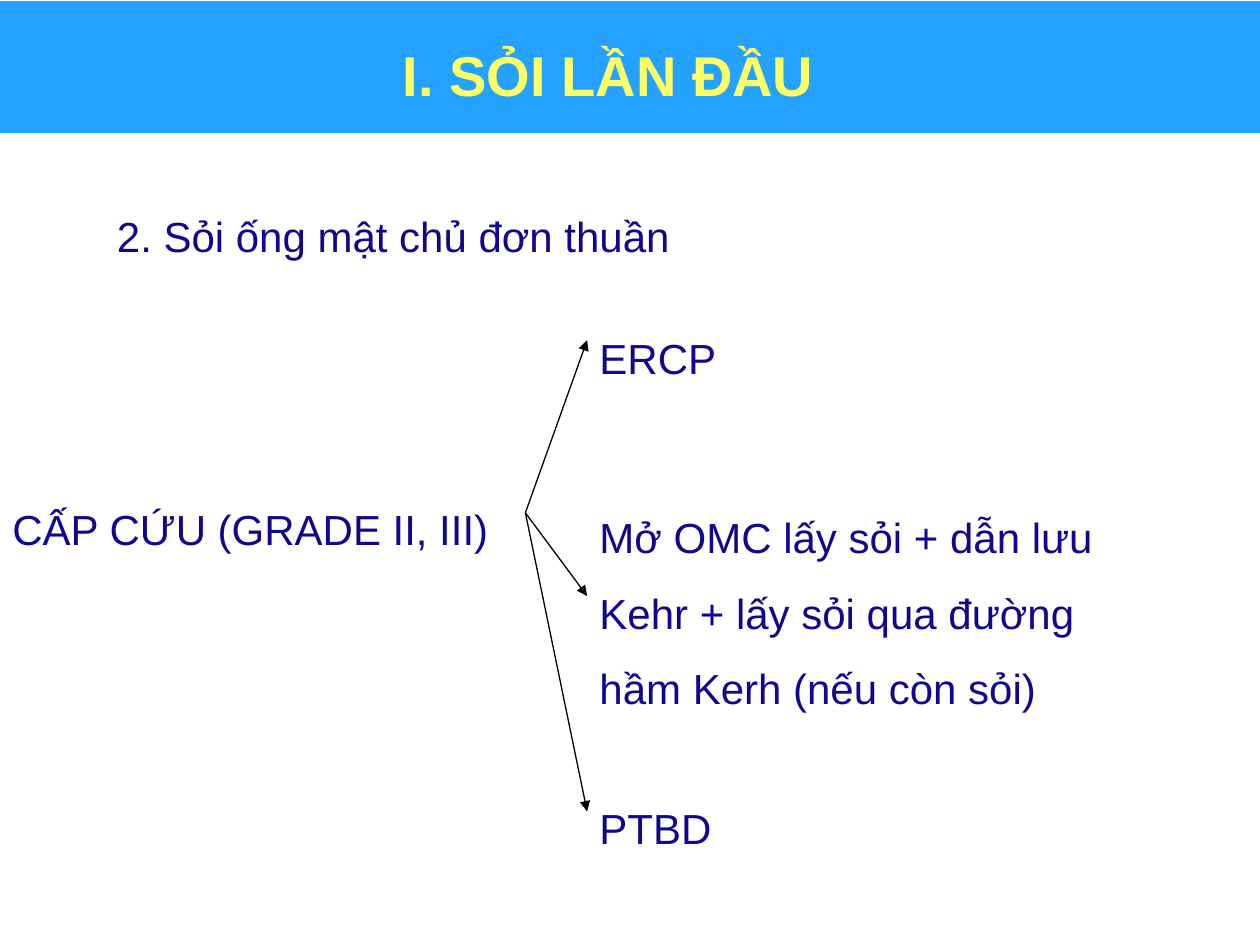
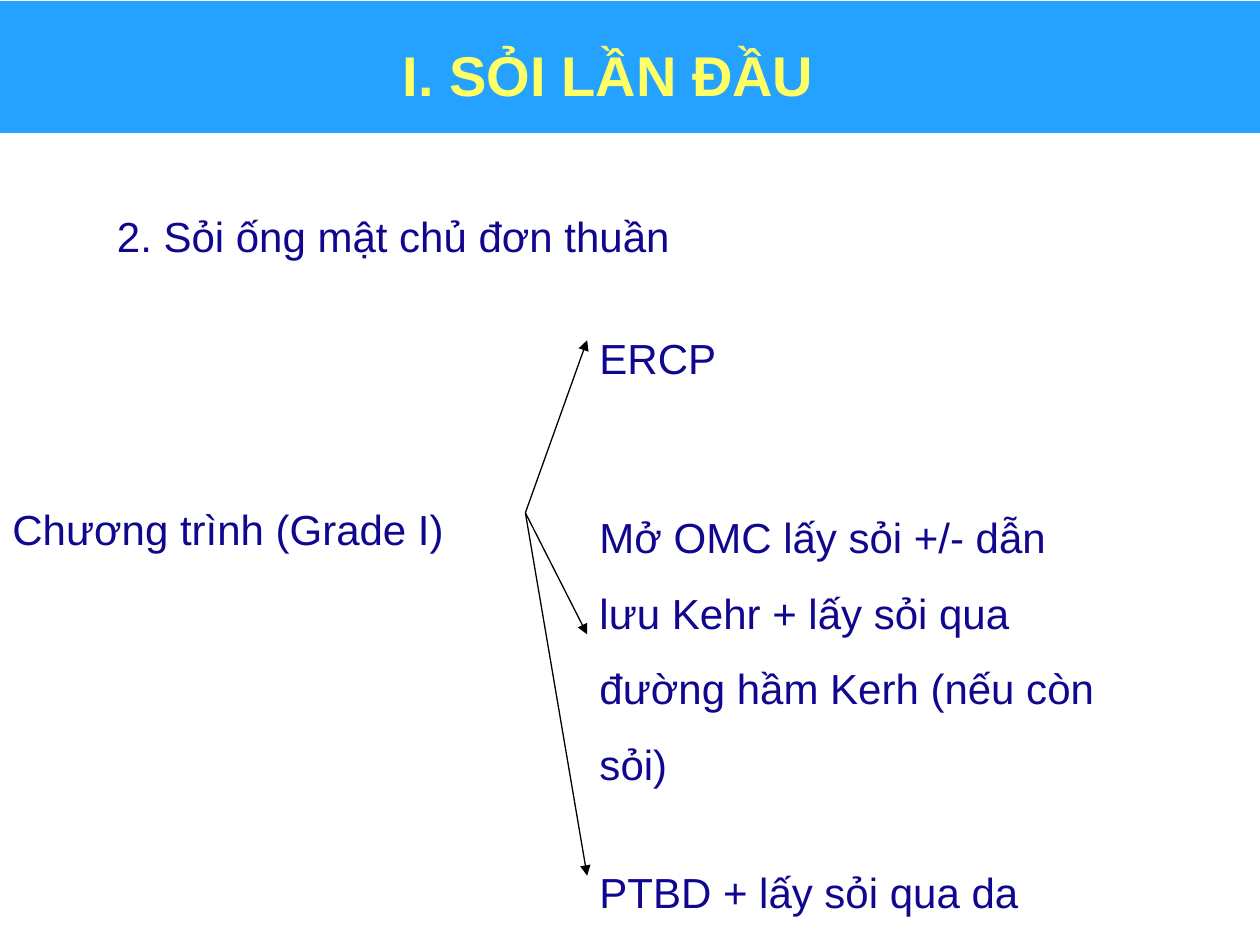
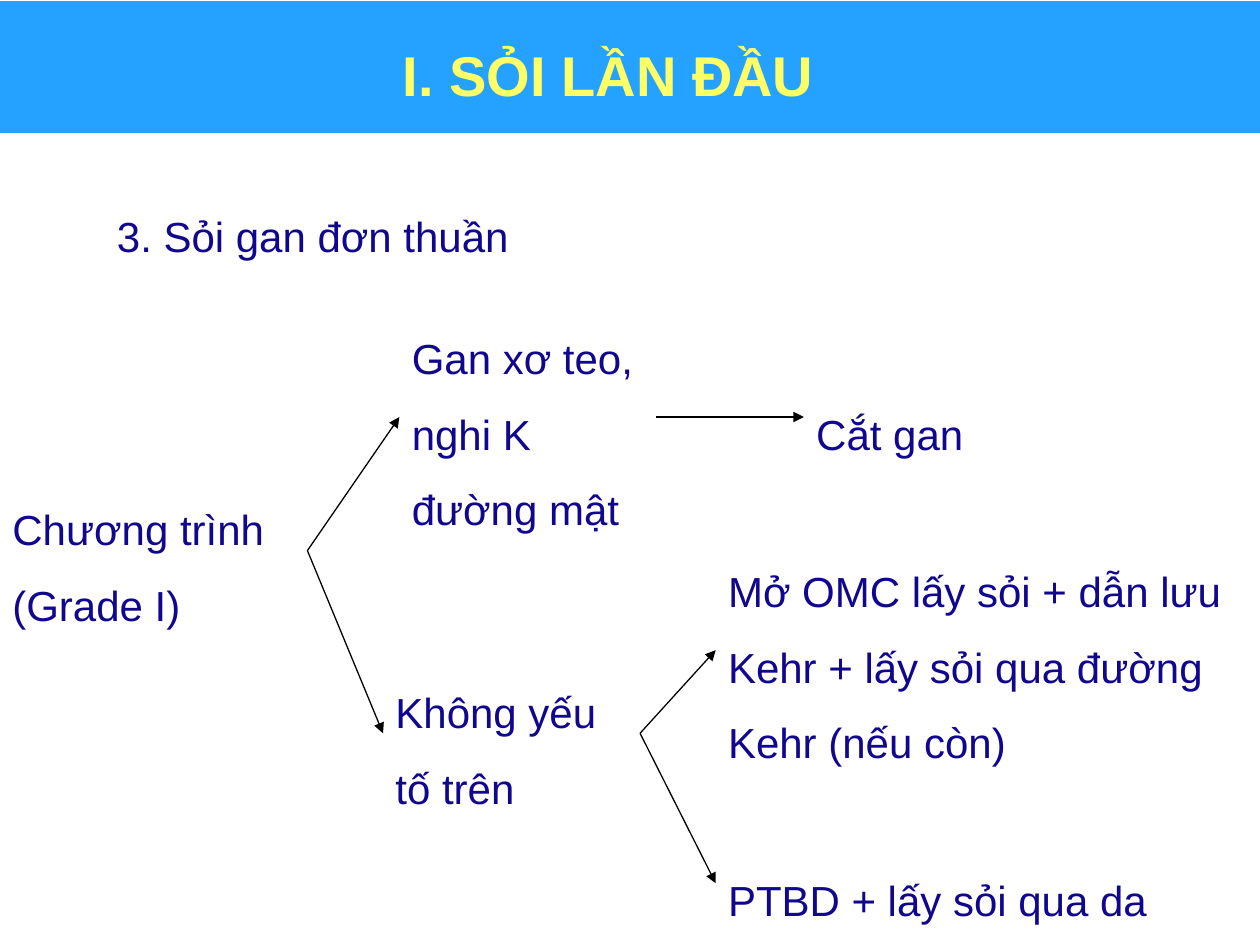
from lxml import etree
from pptx import Presentation
from pptx.dml.color import RGBColor
from pptx.enum import shapes, text
from pptx.oxml import ns
from pptx.util import Inches, Pt


def color(value):
    return RGBColor.from_string(value)


class Deck:
    FONT = "Arial"
    BAND, BAND_EDGE = "25A2FF", "FFFFFF"
    TITLE, BODY, ARROW = "FFFF66", "11078F", "000000"
    LINE_WIDTH = Pt(0.75)

    def __init__(self):
        self.presentation = Presentation()
        self.presentation.slide_width = Inches(10)
        self.presentation.slide_height = Inches(7.5)
        self.slide = None

    def start(self, title, heading):
        blank = self.presentation.slide_layouts[6]
        self.slide = self.presentation.slides.add_slide(blank)
        self.band()
        self.title(title)
        self.label(heading, 0.83, 1.42, 8.75, 1.24)

    def band(self):
        band = self.slide.shapes.add_shape(
            shapes.MSO_SHAPE.RECTANGLE,
            Inches(-0.07), Inches(0), Inches(10.09), Inches(1.06))
        band.shadow.inherit = False
        band.fill.solid()
        band.fill.fore_color.rgb = color(self.BAND)
        band.line.color.rgb = color(self.BAND_EDGE)
        band.line.width = self.LINE_WIDTH

    def place_words(self, words, left, top, width, height, size, ink, bold=False):
        box = self.slide.shapes.add_textbox(
            Inches(left), Inches(top), Inches(width), Inches(height))
        frame = box.text_frame
        frame.word_wrap = True
        frame.text = words
        paragraph = frame.paragraphs[0]
        for run in paragraph.runs:
            run.font.name = self.FONT
            run.font.size = Pt(size)
            run.font.bold = bold
            run.font.color.rgb = color(ink)
        return frame, paragraph

    def title(self, words):
        frame, paragraph = self.place_words(
            words, 0.58, 0.17, 8.5, 0.83, 32, self.TITLE, bold=True)
        frame.vertical_anchor = text.MSO_ANCHOR.MIDDLE
        paragraph.alignment = text.PP_ALIGN.CENTER

    def label(self, words, left, top, width, height=0.63):
        frame, paragraph = self.place_words(
            words, left, top, width, height, 24, self.BODY)
        frame.auto_size = text.MSO_AUTO_SIZE.SHAPE_TO_FIT_TEXT
        paragraph.line_spacing = 1.5

    def arrows(self, start, *ends):
        for end in ends:
            arrow = self.slide.shapes.add_connector(
                shapes.MSO_CONNECTOR.STRAIGHT,
                *(Inches(value) for value in start + end))
            arrow.line.color.rgb = color(self.ARROW)
            arrow.line.width = self.LINE_WIDTH
            properties = arrow._element.spPr
            etree.SubElement(properties.get_or_add_ln(),
                             ns.qn("a:tailEnd"), type="triangle")
            etree.SubElement(properties, ns.qn("a:effectLst"))

    def save(self):
        self.presentation.save("out.pptx")


TITLE = "I. SỎI LẦN ĐẦU"
DUCT_STONES = "2. Sỏi ống mật chủ đơn thuần"
LIVER_STONES = "3. Sỏi gan đơn thuần"
ELECTIVE = "Chương trình (Grade I)"
DRAIN_THROUGH_SKIN = "PTBD + lấy sỏi qua da"


def duct_stones(deck, urgency, surgery, surgery_height, drainage, drainage_top):
    fork, options = 4.17, 4.66
    surgery_top = 3.81
    deck.start(TITLE, DUCT_STONES)
    deck.label(urgency, 0, 3.75, fork)
    deck.label("ERCP", options, 2.39, 4.17)
    deck.label(surgery, options, surgery_top, 4.17, surgery_height)
    deck.label(drainage, options, drainage_top, 4.56)
    deck.arrows((fork, 4.07),
                (options, 2.7),
                (options, surgery_top + surgery_height / 2),
                (options, drainage_top + 0.32))


def liver_stones(deck):
    atrophy, no_factor, resection, options = 3.17, 3.04, 6.38, 5.68
    atrophy_middle, no_factor_middle = 3.31, 5.82
    deck.start(TITLE, LIVER_STONES)
    deck.label(ELECTIVE, 0, 3.75, 2.44, 1.24)
    deck.label("Gan xơ teo, nghi K đường mật", atrophy, 2.39, 2.03, 1.84)
    deck.label("Không yếu tố trên", no_factor, 5.2, 2.03, 1.24)
    deck.label("Cắt gan", resection, 2.99, 2.03)
    deck.label("Mở OMC lấy sỏi + dẫn lưu Kehr + lấy sỏi qua đường Kehr (nếu còn)",
               options, 4.24, 4.17, 1.84)
    deck.label(DRAIN_THROUGH_SKIN, options, 6.69, 4.56)
    deck.arrows((2.44, 4.37),
                (atrophy, atrophy_middle), (no_factor, no_factor_middle))
    deck.arrows((5.21, atrophy_middle), (resection, atrophy_middle))
    deck.arrows((5.08, no_factor_middle), (options, 5.16), (options, 7.01))


def main():
    deck = Deck()
    duct_stones(
        deck, "CẤP CỨU (GRADE II, III)",
        "Mở OMC lấy sỏi + dẫn lưu Kehr + lấy sỏi qua đường hầm Kerh (nếu còn sỏi)",
        1.84, "PTBD", 6.12)
    duct_stones(
        deck, ELECTIVE,
        "Mở OMC lấy sỏi +/- dẫn lưu Kehr + lấy sỏi qua đường hầm Kerh (nếu còn sỏi)",
        2.45, DRAIN_THROUGH_SKIN, 6.63)
    liver_stones(deck)
    deck.save()


if __name__ == "__main__":
    main()
